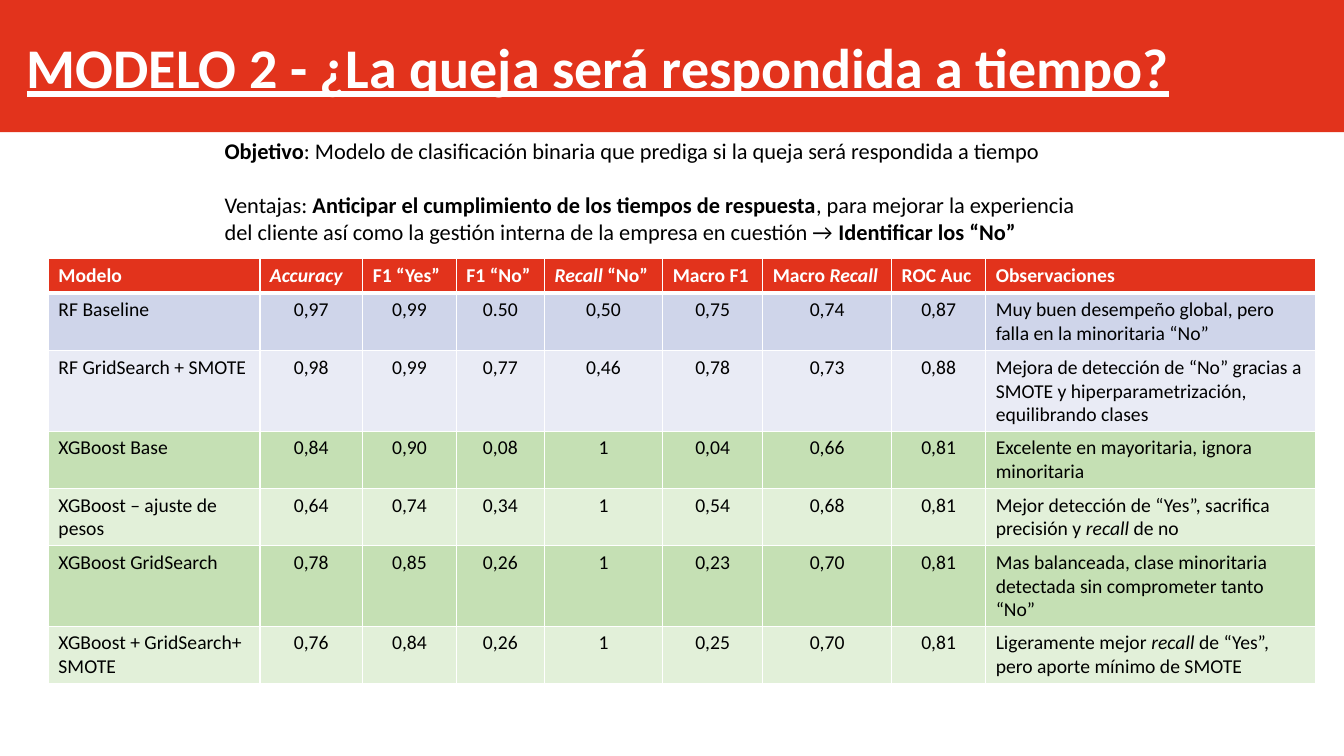
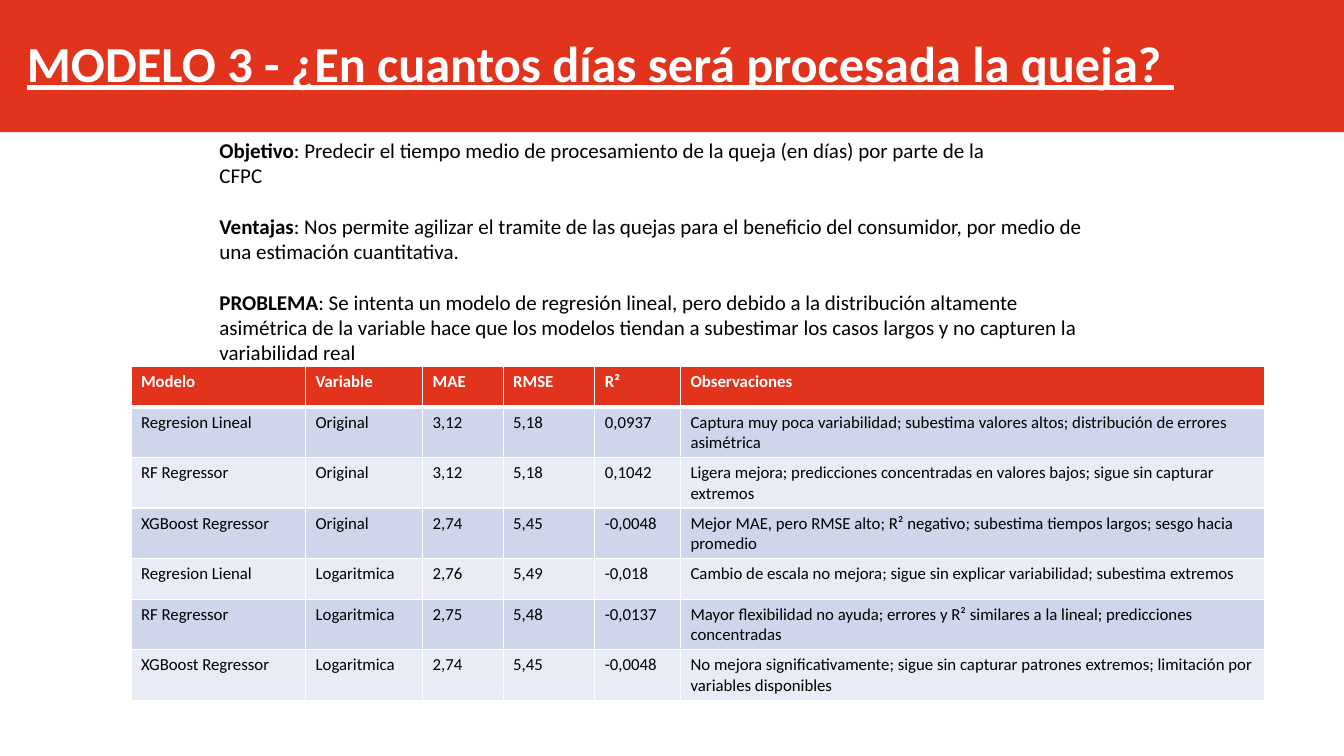
"""Build two slides that compare the results of complaint models."""

from dataclasses import dataclass

from lxml.etree import SubElement
from pptx import Presentation
from pptx.dml.color import RGBColor
from pptx.enum.shapes import MSO_SHAPE as Shape
from pptx.enum.text import MSO_AUTO_SIZE as AutoSize, PP_ALIGN as Align
from pptx.oxml.ns import qn
from pptx.util import Cm, Pt

FONT = "Calibri"
COLORS = {
    "red": "E2331C",
    "white": "FFFFFF",
    "black": "000000",
    "blue": "CFD5EA",
    "pale_blue": "E9EBF5",
    "green": "C5E0B4",
    "pale_green": "E2F0D9",
}
PAGE_WIDTH, PAGE_HEIGHT = 33.87, 19.05
BAND_HEIGHT = 3.33
LINE_SPACING = 1.22


@dataclass
class Results:
    left: float
    top: float
    widths: list[float]
    header_height: float
    row_height: float
    size: int
    rows: list[list[str]]
    fills: list[str]
    centered: range = range(0)


@dataclass
class ModelPage:
    title: str
    title_size: int
    summary_left: float
    summary_size: int
    summary: list[str]
    results: Results


PAGES = [
    ModelPage(
        title="MODELO 2 - ¿La queja será respondida a tiempo?",
        title_size=40,
        summary_left=4.14,
        summary_size=16,
        summary=[
            "*Objetivo*: Modelo de clasificación binaria que prediga si la queja será respondida a tiempo",
            "Ventajas: *Anticipar el cumplimiento de los tiempos de respuesta*, para mejorar la experiencia "
            "del cliente así como la gestión interna de la empresa en cuestión → *Identificar los “No”*",
        ],
        results=Results(
            left=1.22,
            top=6.51,
            widths=[5.33, 2.59, 2.36, 2.22, 2.98, 2.52, 3.25, 2.37, 8.31],
            header_height=0.88,
            row_height=1.37,
            size=14,
            rows=[
                ["Modelo", "_Accuracy_", "F1 “Yes”", "F1 “No”", "_Recall_ “No”", "Macro F1",
                 "Macro _Recall_", "ROC Auc", "Observaciones"],
                ["RF Baseline", "0,97", "0,99", "0.50", "0,50", "0,75", "0,74", "0,87",
                 "Muy buen desempeño global, pero falla en la minoritaria “No”"],
                ["RF GridSearch + SMOTE", "0,98", "0,99", "0,77", "0,46", "0,78", "0,73", "0,88",
                 "Mejora de detección de “No” gracias a SMOTE y hiperparametrización, equilibrando clases"],
                ["XGBoost Base", "0,84", "0,90", "0,08", "1", "0,04", "0,66", "0,81",
                 "Excelente en mayoritaria, ignora minoritaria"],
                ["XGBoost – ajuste de pesos", "0,64", "0,74", "0,34", "1", "0,54", "0,68", "0,81",
                 "Mejor detección de “Yes”, sacrifica precisión y _recall_ de no"],
                ["XGBoost GridSearch", "0,78", "0,85", "0,26", "1", "0,23", "0,70", "0,81",
                 "Mas balanceada, clase minoritaria detectada sin comprometer tanto “No”"],
                ["XGBoost + GridSearch+ SMOTE", "0,76", "0,84", "0,26", "1", "0,25", "0,70", "0,81",
                 "Ligeramente mejor _recall_ de “Yes”, pero aporte mínimo de SMOTE"],
            ],
            fills=["blue", "pale_blue"] + ["green", "pale_green"] * 2,
            centered=range(1, 8),
        ),
    ),
    ModelPage(
        title="MODELO 3 - ¿En cuantos días será procesada la queja? ",
        title_size=36,
        summary_left=4.01,
        summary_size=15,
        summary=[
            "*Objetivo*: Predecir el tiempo medio de procesamiento de la queja (en días) por parte de la\nCFPC",
            "*Ventajas*: Nos permite agilizar el tramite de las quejas para el beneficio del consumidor, "
            "por medio de una estimación cuantitativa.",
            "*PROBLEMA*: Se intenta un modelo de regresión lineal, pero debido a la distribución altamente "
            "asimétrica de la variable hace que los modelos tiendan a subestimar los casos largos y no "
            "capturen la variabilidad real",
        ],
        results=Results(
            left=3.3,
            top=9.23,
            widths=[4.4, 2.95, 2.03, 2.31, 2.16, 14.71],
            header_height=1.03,
            row_height=1.03,
            size=12,
            rows=[
                ["Modelo", "Variable", "MAE", "RMSE", "R²", "Observaciones"],
                ["Regresion Lineal", "Original", "3,12", "5,18", "0,0937",
                 "Captura muy poca variabilidad; subestima valores altos; distribución de errores asimétrica"],
                ["RF Regressor", "Original", "3,12", "5,18", "0,1042",
                 "Ligera mejora; predicciones concentradas en valores bajos; sigue sin capturar extremos"],
                ["XGBoost Regressor", "Original", "2,74", "5,45", "-0,0048",
                 "Mejor MAE, pero RMSE alto; R² negativo; subestima tiempos largos; sesgo hacia promedio"],
                ["Regresion Lienal", "Logaritmica", "2,76", "5,49", "-0,018",
                 "Cambio de escala no mejora; sigue sin explicar variabilidad; subestima extremos"],
                ["RF Regressor", "Logaritmica", "2,75", "5,48", "-0,0137",
                 "Mayor flexibilidad no ayuda; errores y R² similares a la lineal; predicciones concentradas"],
                ["XGBoost Regressor", "Logaritmica", "2,74", "5,45", "-0,0048",
                 "No mejora significativamente; sigue sin capturar patrones extremos; limitación por "
                 "variables disponibles"],
            ],
            fills=["blue", "pale_blue"] * 3,
        ),
    ),
]


def color(name: str) -> RGBColor:
    return RGBColor.from_string(COLORS[name])


def write(para, text: str, *, size: int, ink: str = "black", bold: bool = False,
          underline: bool = False, align=Align.LEFT, before: float = 0) -> None:
    """Fill a paragraph, reading *bold* and _italic_ marks."""
    para.alignment = align
    para.space_before = Pt(before)
    for bold_index, chunk in enumerate(text.split("*")):
        for italic_index, piece in enumerate(chunk.split("_")):
            if not piece:
                continue
            span = para.add_run()
            span.text = piece
            span.font.name = FONT
            span.font.size = Pt(size)
            span.font.color.rgb = color(ink)
            span.font.bold = bold or bold_index % 2 == 1
            span.font.italic = italic_index % 2 == 1
            span.font.underline = underline


def add_box(page, left: float, top: float, width: float, height: float):
    box = page.shapes.add_textbox(Cm(left), Cm(top), Cm(width), Cm(height))
    box.text_frame.word_wrap = True
    box.text_frame.auto_size = AutoSize.SHAPE_TO_FIT_TEXT
    return box.text_frame


def add_title(page, title: str, size: int) -> None:
    band = page.shapes.add_shape(Shape.RECTANGLE, 0, 0, Cm(PAGE_WIDTH), Cm(BAND_HEIGHT))
    band.shadow.inherit = False
    band.fill.solid()
    band.fill.fore_color.rgb = color("red")
    band.line.fill.background()
    frame = add_box(page, 0.43, 0.69, 30.3, 1.9)
    write(frame.paragraphs[0], title, size=size, ink="white", bold=True, underline=True)


def add_summary(page, blocks: list[str], left: float, size: int) -> None:
    frame = add_box(page, left, BAND_HEIGHT, 23.88, 5.2)
    frame.margin_left = Cm(1.52)
    for block_index, block in enumerate(blocks):
        for line_index, line in enumerate(block.split("\n")):
            first = block_index == line_index == 0
            para = frame.paragraphs[0] if first else frame.add_paragraph()
            gap = 0 if first or line_index else size * LINE_SPACING
            write(para, line, size=size, before=gap)


def set_borders(cell, **widths: float) -> None:
    properties = cell._tc.get_or_add_tcPr()
    for side in ("L", "R", "T", "B"):
        line = SubElement(properties, qn(f"a:ln{side}"), w=str(Pt(widths.get(side, 1))))
        SubElement(SubElement(line, qn("a:solidFill")), qn("a:srgbClr"), val=COLORS["white"])


def add_results(page, results: Results) -> None:
    heights = [results.header_height] + [results.row_height] * len(results.fills)
    table = page.shapes.add_table(
        len(heights), len(results.widths), Cm(results.left), Cm(results.top),
        Cm(sum(results.widths)), Cm(sum(heights)),
    ).table
    for column, width in zip(table.columns, results.widths):
        column.width = Cm(width)
    fills = ["red"] + results.fills
    for row_index, (texts, fill, height) in enumerate(zip(results.rows, fills, heights)):
        table.rows[row_index].height = Cm(height)
        header = row_index == 0
        for column_index, text in enumerate(texts):
            cell = table.cell(row_index, column_index)
            set_borders(cell, B=3 if header else 1, T=3 if row_index == 1 else 1)
            cell.fill.solid()
            cell.fill.fore_color.rgb = color(fill)
            centered = not header and column_index in results.centered
            write(cell.text_frame.paragraphs[0], text, size=results.size,
                  ink="white" if header else "black", bold=header,
                  align=Align.CENTER if centered else Align.LEFT)


def main() -> None:
    deck = Presentation()
    deck.slide_width, deck.slide_height = Cm(PAGE_WIDTH), Cm(PAGE_HEIGHT)
    for model in PAGES:
        page = deck.slides.add_slide(deck.slide_layouts[6])
        add_title(page, model.title, model.title_size)
        add_summary(page, model.summary, model.summary_left, model.summary_size)
        add_results(page, model.results)
    deck.save("out.pptx")


if __name__ == "__main__":
    main()
